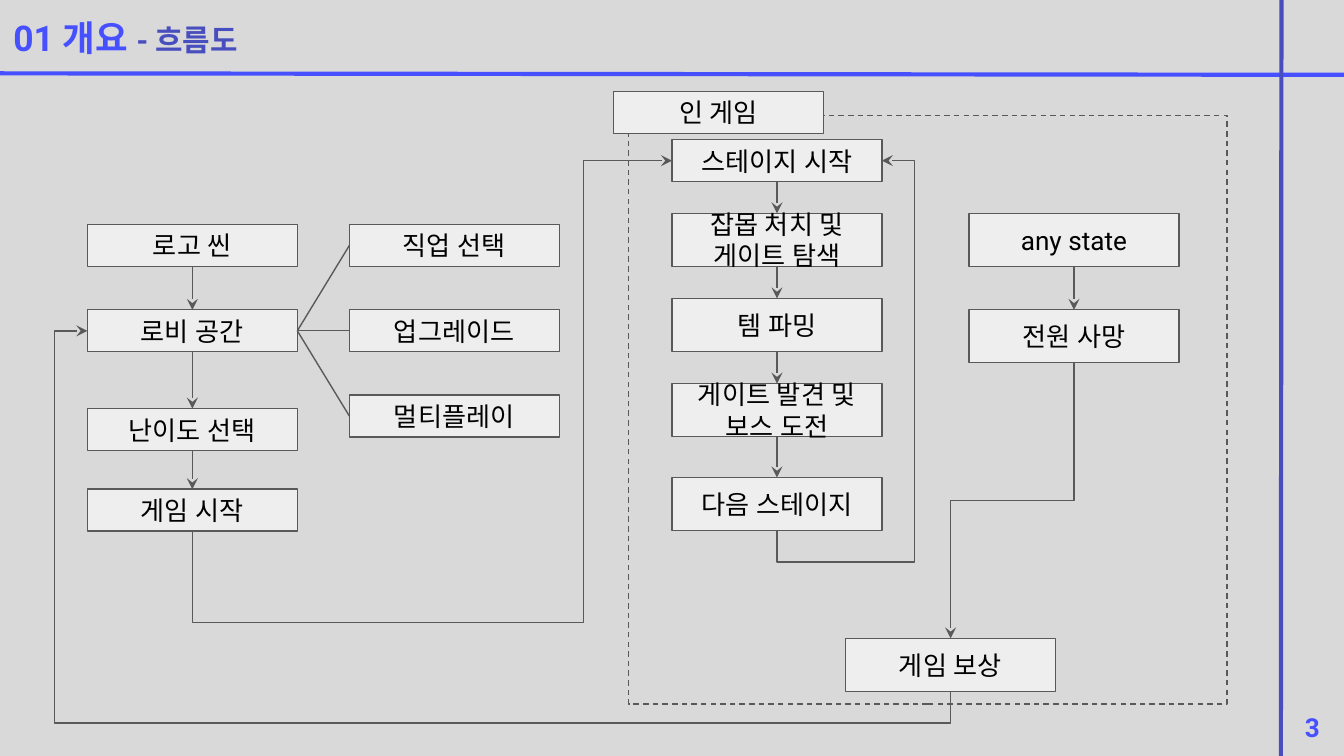
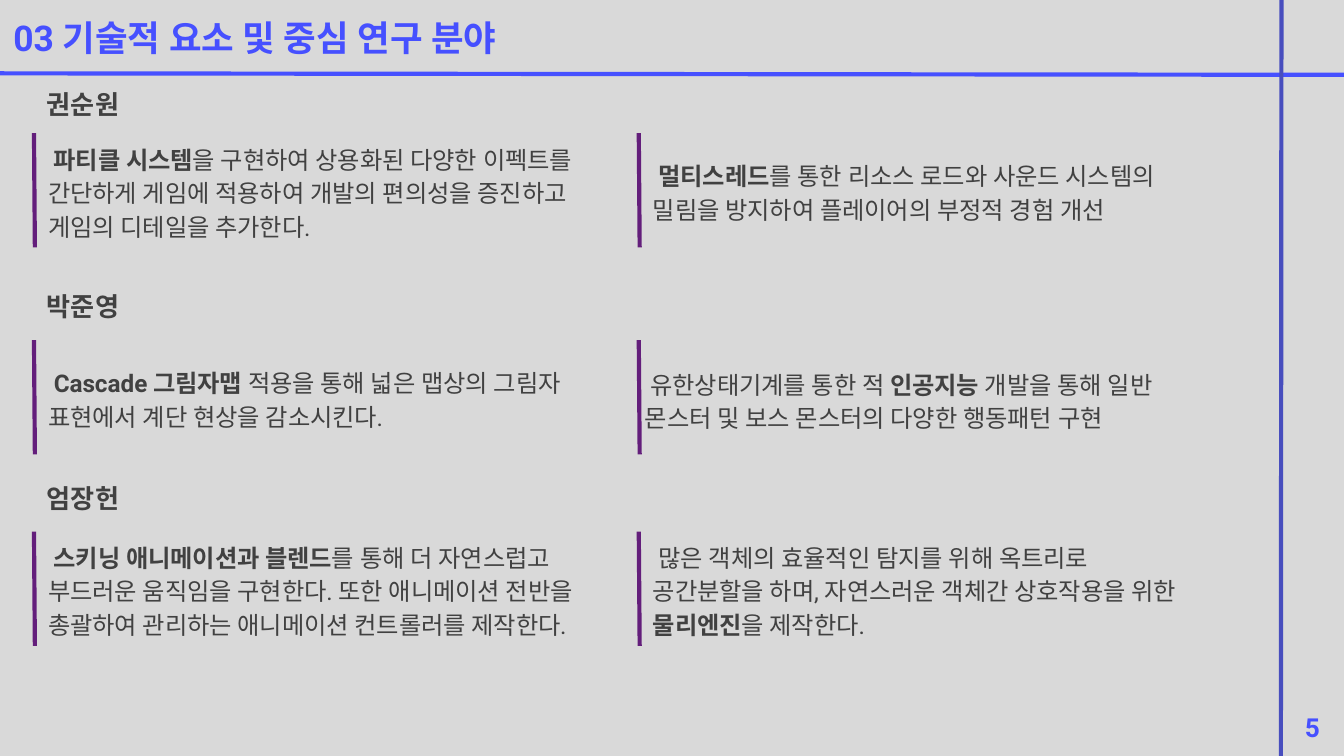
from dataclasses import dataclass
from typing import NamedTuple, Optional

import pptx
import pptx.dml.color
import pptx.enum.dml
import pptx.enum.shapes
import pptx.enum.text
import pptx.oxml.ns
import pptx.oxml.xmlchemy
import pptx.util
from lxml import etree

Pt = pptx.util.Pt
qn = pptx.oxml.ns.qn
Anchor = pptx.enum.text.MSO_ANCHOR
Align = pptx.enum.text.PP_ALIGN
TOP, LEFT, BOTTOM, RIGHT = range(4)


@dataclass(frozen=True)
class Theme:
    font: str = "Roboto"
    background: str = "D9D9D9"
    accent: str = "4650FF"
    accent_dark: str = "484EBE"
    bar: str = "631E7B"
    box: str = "EEEEEE"
    outline: str = "595959"
    box_text: str = "000000"
    body_text: str = "414141"
    title_size: float = 19
    subtitle_size: float = 16
    label_size: float = 14
    body_size: float = 13
    thick: float = 2.25
    thin: float = 0.75


THEME = Theme()
WIDTH, HEIGHT = 720, 405
RULE_Y, MARGIN_X = 39.6, 686.2
BOX_WIDTH, SHORT, TALL = 112.5, 22.5, 28.4
MENU_X, OPTION_X, STAGE_X, STATE_X = 46.8, 187.2, 360, 519.1
BODY_WIDTH, BODY_HEIGHT = 298, 82
BAR_OFFSET, BAR_HEIGHT = 10.2, 61.2


class Box(NamedTuple):
    left: float
    top: float
    width: float
    height: float


class Node(NamedTuple):
    text: str
    left: float
    top: float
    height: float = SHORT


class Link(NamedTuple):
    source: str
    source_side: int
    target: str
    target_side: int
    arrow: bool = True
    turn_y: Optional[float] = None
    turn_x: Optional[float] = None


class Span(NamedTuple):
    text: str
    bold: bool = False


class Note(NamedTuple):
    left: float
    top: float
    spans: tuple[Span, ...]


class Person(NamedTuple):
    name: str
    top: float
    notes: tuple[Note, ...]


NODES = (
    Node("로고 씬", MENU_X, 120.2),
    Node("로비 공간", MENU_X, 166),
    Node("난이도 선택", MENU_X, 218.9),
    Node("게임 시작", MENU_X, 262.1),
    Node("직업 선택", OPTION_X, 120.2),
    Node("업그레이드", OPTION_X, 166),
    Node("멀티플레이", OPTION_X, 211.7),
    Node("인 게임", 328.7, 49),
    Node("스테이지 시작", STAGE_X, 74.8),
    Node("잡몹 처치 및 게이트 탐색", STAGE_X, 114.3, TALL),
    Node("템 파밍", STAGE_X, 159.9, TALL),
    Node("게이트 발견 및\n보스 도전", STAGE_X, 205.5, TALL),
    Node("다음 스테이지", STAGE_X, 255.8, TALL),
    Node("any state", STATE_X, 114.3, TALL),
    Node("전원 사망", STATE_X, 166, TALL),
    Node("게임 보상", 453, 342, TALL),
)

CHAINS = (
    ("로고 씬", "로비 공간", "난이도 선택", "게임 시작"),
    ("스테이지 시작", "잡몹 처치 및 게이트 탐색", "템 파밍",
     "게이트 발견 및\n보스 도전", "다음 스테이지"),
    ("any state", "전원 사망"),
)

LINKS = (
    *(Link(source, BOTTOM, target, TOP)
      for chain in CHAINS for source, target in zip(chain, chain[1:])),
    *(Link("로비 공간", RIGHT, option, LEFT, arrow=False)
      for option in ("직업 선택", "업그레이드", "멀티플레이")),
    Link("게임 시작", BOTTOM, "스테이지 시작", LEFT, turn_y=333.4, turn_x=312.6),
    Link("다음 스테이지", BOTTOM, "스테이지 시작", RIGHT, turn_y=301, turn_x=489.8),
    Link("전원 사망", BOTTOM, "게임 보상", TOP, turn_y=268.2),
    Link("게임 보상", BOTTOM, "로비 공간", LEFT, turn_y=387.4, turn_x=29.4),
)

PEOPLE = (
    Person("권순원", 40.3, (
        Note(18.7, 61.2, (
            Span("파티클 시스템", True),
            Span("을 구현하여 상용화된 다양한 이펙트를 간단하게 게임에 적용하여 "
                 "개발의 편의성을 증진하고 게임의 디테일을 추가한다."))),
        Note(342.7, 61.2, (
            Span("멀티스레드", True),
            Span("를 통한 리소스 로드와 사운드 시스템의 밀림을 방지하여 "
                 "플레이어의 부정적 경험 개선"))),
    )),
    Person("박준영", 148.3, (
        Note(18.7, 172, (
            Span("Cascade 그림자맵", True),
            Span(" 적용을 통해 넓은 맵상의 그림자 표현에서 계단 현상을 감소시킨다."))),
        Note(338.4, 172.8, (
            Span("유한상태기계를 통한 적 "),
            Span("인공지능 ", True),
            Span("개발을 통해 일반 몬스터 및 보스 몬스터의 다양한 행동패턴 구현"))),
    )),
    Person("엄장헌", 251.3, (
        Note(18.7, 274.6, (
            Span("스키닝 애니메이션과 블렌드", True),
            Span("를 통해 더 자연스럽고 부드러운 움직임을 구현한다. 또한 애니메이션 "
                 "전반을 총괄하여 관리하는 애니메이션 컨트롤러를 제작한다."))),
        Note(342.7, 274.6, (
            Span("많은 객체의 효율적인 탐지를 위해 옥트리로 공간분할을 하며, "
                 "자연스러운 객체간 상호작용을 위한"),
            Span(" 물리엔진", True),
            Span("을 제작한다."))),
    )),
)


def rgb(color: str) -> pptx.dml.color.RGBColor:
    return pptx.dml.color.RGBColor.from_string(color)


def write(paragraph, text: str, *, size: float, color: str, bold: bool = False) -> None:
    for index, line in enumerate(text.split("\n")):
        if index:
            paragraph.add_line_break()
        run = paragraph.add_run()
        run.text = line
        run.font.size = Pt(size)
        run.font.bold = bold
        run.font.color.rgb = rgb(color)
        run.font.name = THEME.font
        properties = run._r.get_or_add_rPr()
        for tag in ("a:ea", "a:cs"):
            etree.SubElement(properties, qn(tag)).set("typeface", THEME.font)


def first_paragraph(shape, *, anchor=Anchor.TOP, align=Align.LEFT):
    frame = shape.text_frame
    frame.word_wrap = True
    frame.auto_size = pptx.enum.text.MSO_AUTO_SIZE.NONE
    frame.vertical_anchor = anchor
    frame.margin_left = frame.margin_right = Pt(7.2)
    frame.margin_top = frame.margin_bottom = Pt(7.2)
    paragraph = frame.paragraphs[0]
    paragraph.alignment = align
    return paragraph


def add_text(slide, box: Box, *, anchor=Anchor.TOP, align=Align.LEFT):
    shape = slide.shapes.add_textbox(*map(Pt, box))
    return first_paragraph(shape, anchor=anchor, align=align)


def add_rectangle(slide, box: Box, fill: Optional[str] = None):
    shape = slide.shapes.add_shape(
        pptx.enum.shapes.MSO_SHAPE.RECTANGLE, *map(Pt, box))
    shape.shadow.inherit = False
    if fill:
        shape.fill.solid()
        shape.fill.fore_color.rgb = rgb(fill)
    else:
        shape.fill.background()
    shape.line.color.rgb = rgb(THEME.outline)
    shape.line.width = Pt(THEME.thin)
    return shape


def add_line(slide, start, end, *, color: str, width: float,
             arrow: bool = False, elbow: bool = False):
    kind = pptx.enum.shapes.MSO_CONNECTOR
    connector = slide.shapes.add_connector(
        kind.ELBOW if elbow else kind.STRAIGHT, *map(Pt, (*start, *end)))
    connector.line.color.rgb = rgb(color)
    connector.line.width = Pt(width)
    properties = connector._element.spPr
    if arrow:
        etree.SubElement(properties.find(qn("a:ln")), qn("a:tailEnd")).set("type", "stealth")
    etree.SubElement(properties, qn("a:effectLst"))
    return connector


def side_point(node: Node, side: int) -> tuple[float, float]:
    across, down = ((0.5, 0), (0, 0.5), (0.5, 1), (1, 0.5))[side]
    return node.left + BOX_WIDTH * across, node.top + node.height * down


def bend(connector, start, end, link: Link) -> None:
    run, rise = end[0] - start[0], end[1] - start[1]
    width, height = abs(rise), abs(run)
    connector.left = Pt((start[0] + end[0] - width) / 2)
    connector.top = Pt((start[1] + end[1] - height) / 2)
    connector.width, connector.height = Pt(width), Pt(height)
    properties = connector._element.spPr
    transform = properties.find(qn("a:xfrm"))
    for flip in ("flipH", "flipV"):
        transform.attrib.pop(flip, None)
    transform.set("rot", str((90 if run < 0 else 270) * 60000))
    if run * rise > 0:
        transform.set("flipH", "1")
    fractions = [(link.turn_y - start[1]) / rise]
    if link.turn_x is not None:
        fractions.append((link.turn_x - start[0]) / run)
    geometry = properties.find(qn("a:prstGeom"))
    geometry.set("prst", f"bentConnector{len(fractions) + 2}")
    for old in geometry.findall(qn("a:avLst")):
        geometry.remove(old)
    adjustments = etree.SubElement(geometry, qn("a:avLst"))
    for index, fraction in enumerate(fractions, 1):
        guide = etree.SubElement(adjustments, qn("a:gd"))
        guide.set("name", f"adj{index}")
        guide.set("fmla", f"val {round(fraction * 100000)}")


def add_link(slide, link: Link, nodes: dict, shapes: dict) -> None:
    start = side_point(nodes[link.source], link.source_side)
    end = side_point(nodes[link.target], link.target_side)
    elbow = link.turn_y is not None
    connector = add_line(slide, start, end, color=THEME.outline, width=THEME.thin,
                         arrow=link.arrow, elbow=elbow)
    connector.begin_connect(shapes[link.source], link.source_side)
    connector.end_connect(shapes[link.target], link.target_side)
    if elbow:
        bend(connector, start, end, link)


def add_page(presentation, number: int, title: str, title_width: float, subtitle: str = ""):
    slide = presentation.slides.add_slide(presentation.slide_layouts[5])
    slide.background.fill.solid()
    slide.background.fill.fore_color.rgb = rgb(THEME.background)
    heading = slide.shapes.title
    heading.left, heading.top = Pt(0), Pt(0)
    heading.width, heading.height = Pt(title_width), Pt(RULE_Y)
    paragraph = first_paragraph(heading, anchor=Anchor.MIDDLE)
    write(paragraph, title, size=THEME.title_size, color=THEME.accent, bold=True)
    if subtitle:
        write(paragraph, subtitle, size=THEME.subtitle_size,
              color=THEME.accent_dark, bold=True)
    add_line(slide, (0, RULE_Y - 0.3), (WIDTH, RULE_Y + 0.5),
             color=THEME.accent, width=THEME.thick)
    add_line(slide, (MARGIN_X, HEIGHT), (MARGIN_X + 0.3, 0),
             color=THEME.accent_dark, width=THEME.thick)
    paragraph = add_text(slide, Box(MARGIN_X, 373.7, WIDTH - MARGIN_X, 31.3),
                         align=Align.CENTER)
    write(paragraph, str(number), size=THEME.label_size, color=THEME.accent, bold=True)
    return slide


def build_flow(presentation) -> None:
    slide = add_page(presentation, 3, "01 개요 ", 244, "- 흐름도")
    frame = add_rectangle(slide, Box(336.8, 61.8, 320.6, 315.5))
    frame.line.dash_style = pptx.enum.dml.MSO_LINE.DASH
    nodes, shapes = {node.text: node for node in NODES}, {}
    for node in NODES:
        shape = add_rectangle(
            slide, Box(node.left, node.top, BOX_WIDTH, node.height), THEME.box)
        paragraph = first_paragraph(shape, anchor=Anchor.MIDDLE, align=Align.CENTER)
        write(paragraph, node.text, size=THEME.label_size, color=THEME.box_text)
        shapes[node.text] = shape
    for link in LINKS:
        add_link(slide, link, nodes, shapes)


def build_research(presentation) -> None:
    slide = add_page(presentation, 5, "03 기술적 요소 및 중심 연구 분야", 372)
    for person in PEOPLE:
        paragraph = add_text(slide, Box(18, person.top, 324, 31.7))
        write(paragraph, person.name, size=THEME.label_size,
              color=THEME.body_text, bold=True)
        bar_top = person.notes[0].top + BAR_OFFSET
        for note, bar_x in zip(person.notes, (18.2, 342.2)):
            add_line(slide, (bar_x + 0.5, bar_top + BAR_HEIGHT), (bar_x, bar_top),
                     color=THEME.bar, width=THEME.thick)
            paragraph = add_text(
                slide, Box(note.left, note.top, BODY_WIDTH, BODY_HEIGHT),
                anchor=Anchor.MIDDLE)
            paragraph.line_spacing = 1.15
            paragraph._p.get_or_add_pPr().set("indent", str(Pt(3)))
            for span in note.spans:
                write(paragraph, span.text, size=THEME.body_size,
                      color=THEME.body_text, bold=span.bold)


def main() -> None:
    presentation = pptx.Presentation()
    presentation.slide_width, presentation.slide_height = Pt(WIDTH), Pt(HEIGHT)
    build_flow(presentation)
    build_research(presentation)
    presentation.save("out.pptx")


if __name__ == "__main__":
    main()
